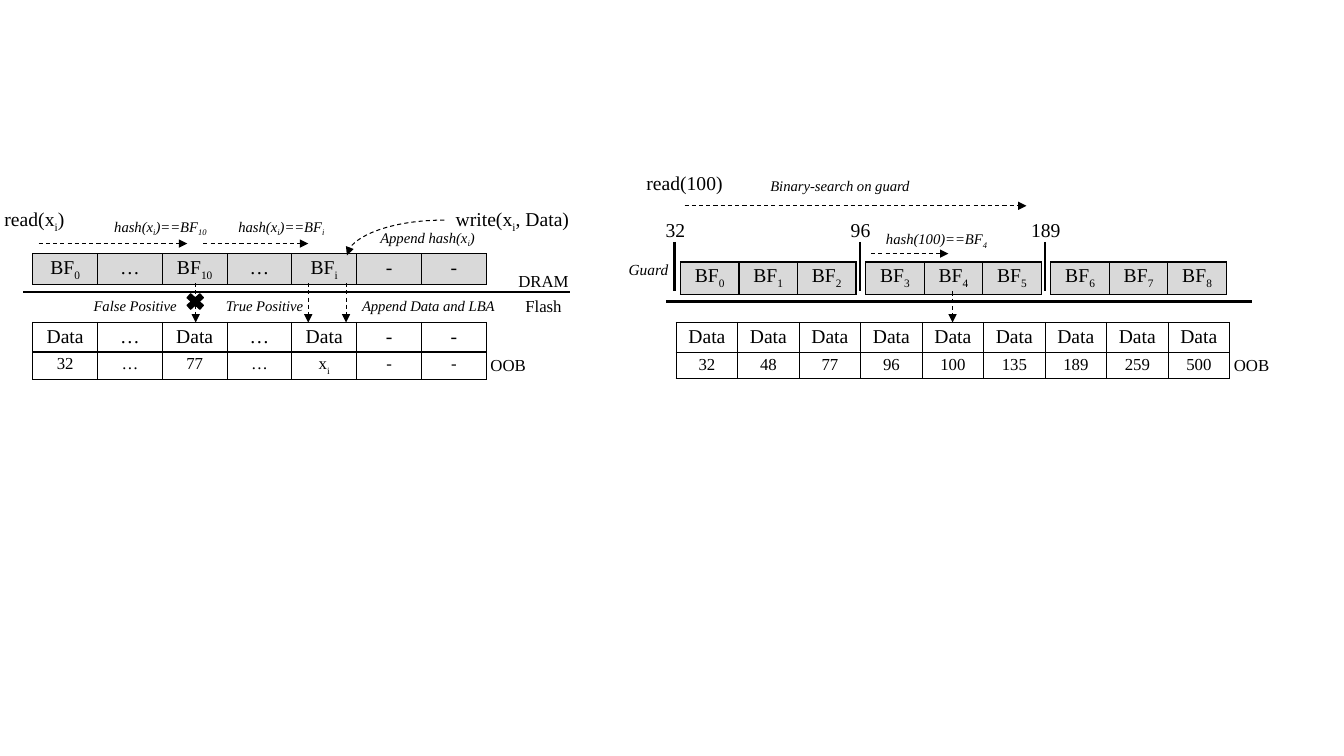
from dataclasses import dataclass

from lxml.etree import SubElement
from pptx import Presentation
from pptx.dml.color import RGBColor
from pptx.enum.dml import MSO_LINE
from pptx.enum.shapes import MSO_CONNECTOR as Link, MSO_SHAPE as Preset
from pptx.enum.text import MSO_AUTO_SIZE, PP_ALIGN
from pptx.oxml.ns import qn
from pptx.util import Inches, Pt

COLUMNS, ROWS = 160, 90  # square grid over the whole slide
PAGE_TOP = 38.4


@dataclass(frozen=True)
class Theme:
    """Colours, font, type sizes and line widths."""
    font: str = "Times New Roman"
    ink: RGBColor = RGBColor(0, 0, 0)
    paper: RGBColor = RGBColor(255, 255, 255)
    filter_fill: RGBColor = RGBColor(0xD9, 0xD9, 0xD9)
    large: float = 14
    medium: float = 12
    guard: float = 11
    small: float = 10.5
    rule: float = 1.5
    border: float = 1
    arrow: float = 0.75


class Diagram:
    """Draws themed elements on one slide, measured in grid units."""

    def __init__(self, deck, theme):
        """Add a blank slide and fix the grid unit."""
        self.theme = theme
        self.shapes = deck.slides.add_slide(deck.slide_layouts[6]).shapes
        self.unit_x = deck.slide_width / COLUMNS
        self.unit_y = deck.slide_height / ROWS

    def x(self, columns):
        """Convert columns to a length."""
        return round(columns * self.unit_x)

    def y(self, rows):
        """Convert rows to a length."""
        return round(rows * self.unit_y)

    def set_text(self, frame, text, size, italic=False):
        """Fill a frame with centred text; parts between tildes are subscripts."""
        paragraph = frame.paragraphs[0]
        paragraph.alignment = PP_ALIGN.CENTER
        font = paragraph.font
        font.name, font.size, font.italic = self.theme.font, Pt(size), italic
        font.color.rgb = self.theme.ink
        for index, part in enumerate(text.split("~")):
            if part:
                run = paragraph.add_run()
                run.text = part
                if index % 2:
                    run._r.get_or_add_rPr().set("baseline", "-25000")

    def label(self, text, center, top, width, size, italic=False):
        """Place a one-line text around a centre column."""
        height = Pt(size * 1.2) + Inches(0.1)
        box = self.shapes.add_textbox(
            self.x(center - width / 2), self.y(top), self.x(width), height)
        box.text_frame.word_wrap = False
        box.text_frame.auto_size = MSO_AUTO_SIZE.SHAPE_TO_FIT_TEXT
        self.set_text(box.text_frame, text, size, italic)

    def note(self, text, center, top, width):
        """Place a small italic annotation."""
        self.label(text, center, top, width, self.theme.small, italic=True)

    def line(self, start, end, width, kind=Link.STRAIGHT):
        """Draw a plain line between two grid points."""
        link = self.shapes.add_connector(
            kind, self.x(start[0]), self.y(start[1]), self.x(end[0]), self.y(end[1]))
        link.line.color.rgb = self.theme.ink
        link.line.width = Pt(width)
        SubElement(link._element.spPr, qn("a:effectLst"))
        return link

    def arrow(self, start, end, kind=Link.STRAIGHT):
        """Draw a dashed arrow; a curved one makes a quarter turn."""
        link = self.line(start, end, self.theme.arrow, kind)
        link.line.dash_style = MSO_LINE.DASH
        SubElement(link.line._get_or_add_ln(), qn("a:tailEnd"), type="triangle")
        if kind == Link.CURVE:
            link._element.spPr.find(qn("a:prstGeom")).set("prst", "curvedConnector2")

    def table(self, left, top, width, rows, fill):
        """Draw a bordered table; each row is (height, type size, texts)."""
        count = len(rows[0][2])
        table = self.shapes.add_table(
            len(rows), count, self.x(left), self.y(top), self.x(width),
            self.y(sum(height for height, _, _ in rows))).table
        table.first_row = table.horz_banding = False
        for column in table.columns:
            column.width = self.x(width / count)
        for r, (height, size, texts) in enumerate(rows):
            table.rows[r].height = self.y(height)
            for c, text in enumerate(texts):
                cell = table.cell(r, c)
                cell.margin_left = cell.margin_right = Inches(0.1)
                cell.margin_top = cell.margin_bottom = Inches(0.03)
                self.set_text(cell.text_frame, text, size)
                self.border(cell)
                cell.fill.solid()
                cell.fill.fore_color.rgb = fill

    def border(self, cell):
        """Outline a cell on all four sides."""
        properties = cell._tc.get_or_add_tcPr()
        for side in ("lnL", "lnR", "lnT", "lnB"):
            edge = SubElement(properties, qn(f"a:{side}"), w=str(Pt(self.theme.border)))
            SubElement(SubElement(edge, qn("a:solidFill")), qn("a:srgbClr"),
                       val=str(self.theme.ink))

    def cross(self, left, top, width, height):
        """Draw a solid cross that marks a failed lookup."""
        mark = self.shapes.add_shape(Preset.MATH_MULTIPLY, self.x(left), self.y(top),
                                     self.x(width), self.y(height))
        mark.shadow.inherit = False
        mark.fill.solid()
        mark.fill.fore_color.rgb = mark.line.color.rgb = self.theme.ink
        mark.line.width = Pt(self.theme.border)

    def filters(self, left, top, width, names):
        """Draw one row of Bloom filters."""
        self.table(left, top, width, [(3.4, self.theme.large, names)],
                   self.theme.filter_fill)

    def pages(self, left, width, data, addresses):
        """Draw flash pages: data above, out-of-band addresses below."""
        self.table(left, PAGE_TOP, width,
                   [(3.5, self.theme.large, data), (3.1, self.theme.medium, addresses)],
                   self.theme.paper)


def draw_linear_search(diagram):
    """Left half: filters are checked one after another."""
    theme = diagram.theme
    diagram.filters(3.9, 30.2, 54, ["BF~0~", "…", "BF~10~", "…", "BF~i~", "-", "-"])
    diagram.line((2.8, 34.8), (67.8, 34.8), theme.rule)
    diagram.pages(3.9, 54, ["Data", "…", "Data", "…", "Data", "-", "-"],
                  ["32", "…", "77", "…", "x~i~", "-", "-"])
    diagram.label("DRAM", 64.7, 31.7, 8.5, theme.medium)
    diagram.label("Flash", 64.7, 34.6, 6.8, theme.medium)
    diagram.label("OOB", 60.5, 41.6, 6.7, theme.medium)
    diagram.label("read(x~i~)", 4.1, 24.1, 9.7, theme.large)
    diagram.label("write(x~i~, Data)", 61, 24.1, 16.1, theme.large)
    diagram.arrow((52.9, 26.2), (41.3, 30.4), Link.CURVE)
    for start, end in ((4.6, 22.3), (24.2, 36.7)):
        diagram.arrow((start, 29), (end, 29))
    for column in (23.3, 36.7, 41.2):
        diagram.arrow((column, 33.7), (column, PAGE_TOP))
    diagram.cross(21.8, 34.6, 2.9, 2.6)
    diagram.note("hash(x~i~)==BF~10~", 19.1, 25.3, 13.8)
    diagram.note("hash(x~i~)==BF~i~", 33.5, 25.3, 13)
    diagram.note("Append hash(x~i~)", 50.9, 26.6, 13.9)
    diagram.note("False Positive", 16.1, 34.8, 12.5)
    diagram.note("True Positive", 31.5, 34.8, 11.9)
    diagram.note("Append Data and LBA", 51, 34.8, 18.5)


def draw_guarded_search(diagram):
    """Right half: guards narrow the search to one group of filters."""
    theme = diagram.theme
    addresses = ["32", "48", "77", "96", "100", "135", "189", "259", "500"]
    group_size, group_step = 3, 22.05
    diagram.line((79.3, 35.9), (149, 35.9), theme.rule)
    for group, first in enumerate(range(0, len(addresses), group_size)):
        guard = 80.3 + group * group_step
        diagram.filters(guard + 0.7, 31.2, 20.9,
                        [f"BF~{n}~" for n in range(first, first + group_size)])
        diagram.line((guard, 28.8), (guard, 34.7), theme.rule)
        diagram.label(addresses[first], guard + 0.1, 25.4,
                      2.4 + 1.2 * len(addresses[first]), theme.large)
    diagram.pages(80.5, 65.9, ["Data"] * len(addresses), addresses)
    diagram.label("OOB", 149, 41.6, 6.7, theme.medium)
    diagram.label("read(100)", 81.5, 19.8, 11.5, theme.large)
    diagram.label("Guard", 77.2, 30.4, 7.3, theme.guard, italic=True)
    diagram.arrow((81.5, 24.5), (122.2, 24.5))
    diagram.note("Binary-search on guard", 100, 20.5, 19.2)
    diagram.arrow((103.7, 30.2), (112.9, 30.2))
    diagram.note("hash(100)==BF~4~", 111.5, 26.8, 14.8)
    diagram.arrow((113.4, 34.7), (113.4, PAGE_TOP))


deck = Presentation()
deck.slide_width, deck.slide_height = Inches(13.33), Inches(7.5)
lookup = Diagram(deck, Theme())
draw_linear_search(lookup)
draw_guarded_search(lookup)
deck.save("out.pptx")
